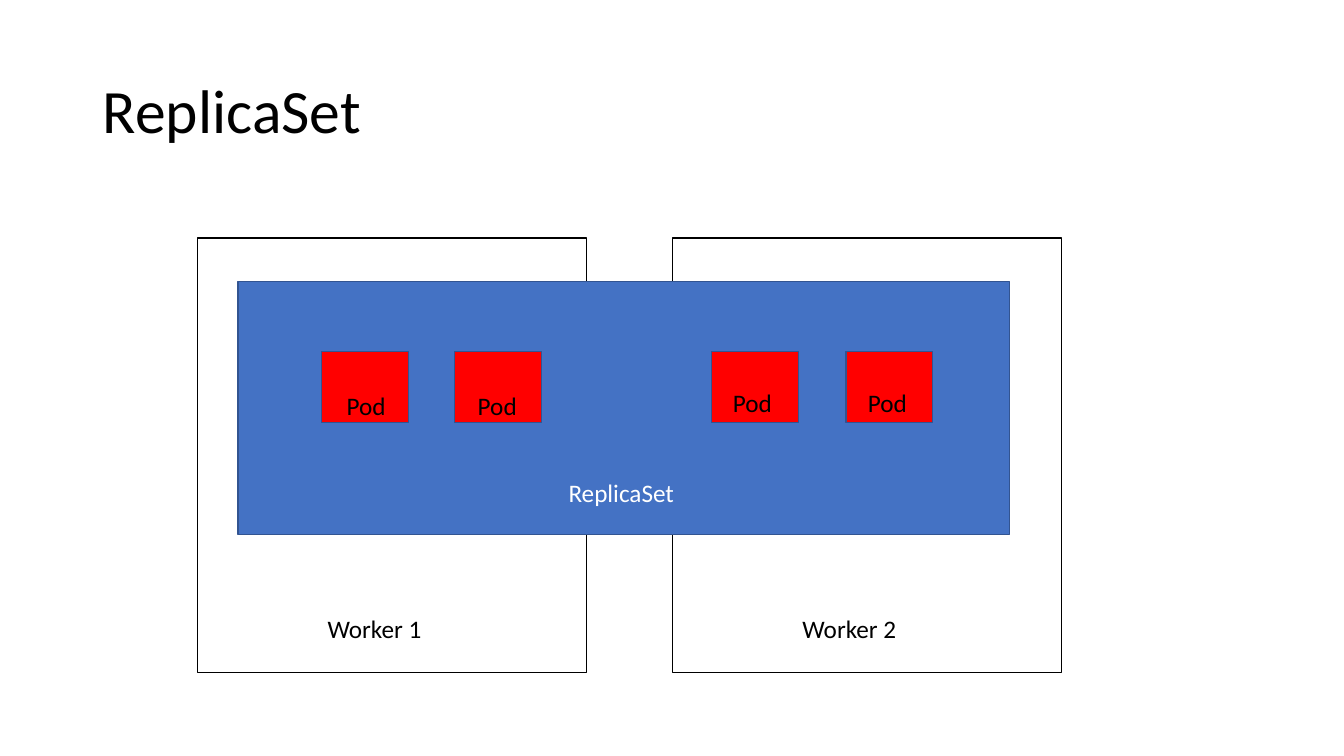
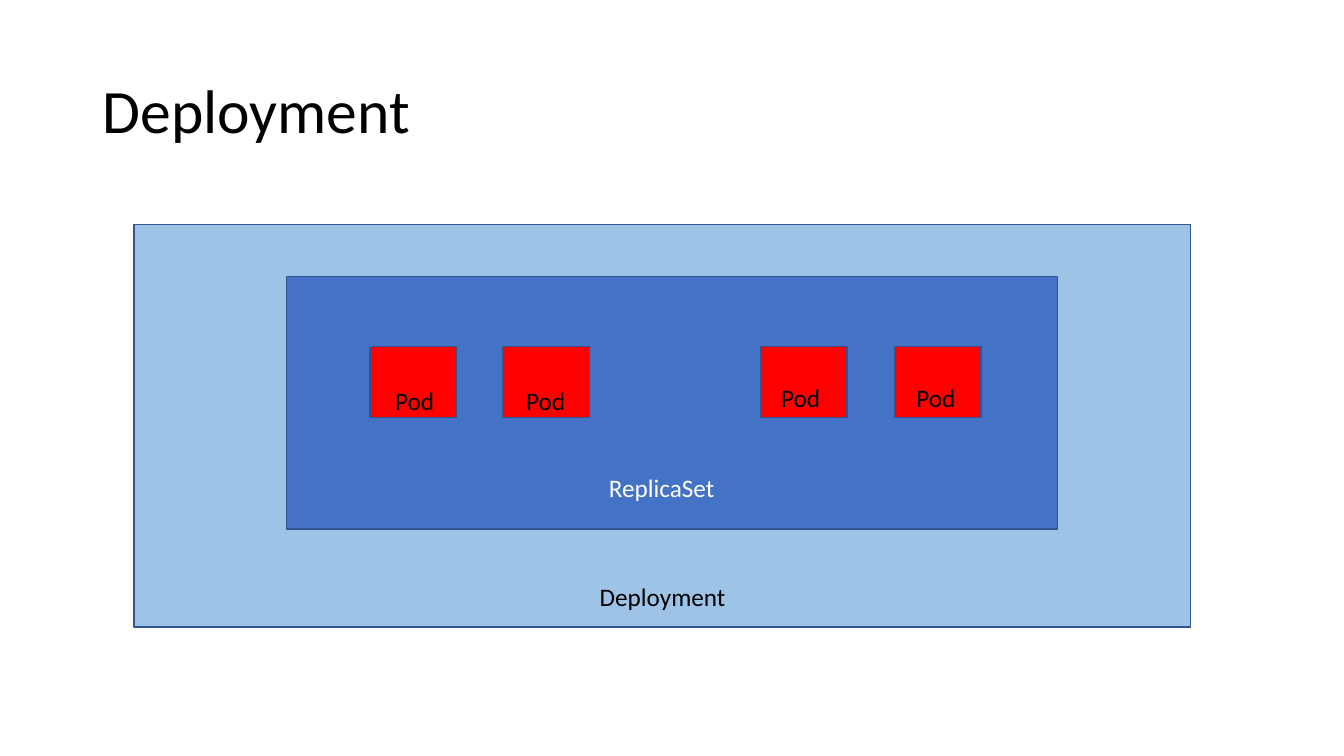
from dataclasses import dataclass

from pptx import Presentation
from pptx.dml.color import RGBColor
from pptx.enum import shapes, text
from pptx.util import Inches, Pt


@dataclass(frozen=True)
class Theme:
    font: str = "Calibri"
    title_size: int = 44
    label_size: int = 18
    outline_width: int = 1
    black: str = "000000"
    white: str = "FFFFFF"
    outline: str = "325491"
    replica_set: str = "4472C4"
    deployment: str = "9DC3E6"
    pod: str = "FF0000"


THEME = Theme()
TITLE_BOX = (0.92, 0.4, 11.5, 1.45)
REPLICA_SET_SIZE = (7.65, 2.51)
POD_SIZE = (0.86, 0.7)
POD_TOP = 0.7
PODS = (
    (0.83, 0.15, 0.33),
    (2.15, 0.13, 0.33),
    (4.7, 0.11, 0.3),
    (6.03, 0.12, 0.3),
)
LABEL_HEIGHT = 0.4


def write(frame, wording, size=THEME.label_size, color=THEME.black,
          anchor=text.MSO_ANCHOR.TOP, spacing=1.0,
          fit=text.MSO_AUTO_SIZE.SHAPE_TO_FIT_TEXT):
    frame.word_wrap = True
    frame.auto_size = fit
    frame.vertical_anchor = anchor
    paragraph = frame.paragraphs[0]
    paragraph.alignment = text.PP_ALIGN.LEFT
    paragraph.line_spacing = spacing
    run = paragraph.add_run()
    run.text = wording
    run.font.name = THEME.font
    run.font.size = Pt(size)
    run.font.color.rgb = RGBColor.from_string(color)


def add_label(slide, wording, left, top, width, **style):
    box = slide.shapes.add_textbox(
        *map(Inches, (left, top, width, LABEL_HEIGHT)))
    write(box.text_frame, wording, **style)


def add_panel(slide, box, fill, outline=THEME.outline):
    panel = slide.shapes.add_shape(
        shapes.MSO_SHAPE.RECTANGLE, *map(Inches, box))
    panel.shadow.inherit = False
    panel.fill.solid()
    panel.fill.fore_color.rgb = RGBColor.from_string(fill)
    panel.line.color.rgb = RGBColor.from_string(outline)
    panel.line.width = Pt(THEME.outline_width)


def add_titled_slide(deck, wording):
    slide = deck.slides.add_slide(deck.slide_layouts[5])
    title = slide.shapes.title
    title.left, title.top, title.width, title.height = map(Inches, TITLE_BOX)
    write(title.text_frame, wording, size=THEME.title_size,
          anchor=text.MSO_ANCHOR.MIDDLE, spacing=0.9,
          fit=text.MSO_AUTO_SIZE.NONE)
    return slide


def add_worker(slide, number, box):
    left, top, _, _ = box
    add_panel(slide, box, THEME.white, outline=THEME.black)
    add_label(slide, f"Worker {number}", left + 1.19, top + 3.68, 1.49)


def add_pod(slide, left, top, label_dx, label_dy):
    add_panel(slide, (left, top, *POD_SIZE), THEME.pod)
    add_label(slide, "Pod", left + label_dx, top + label_dy, 0.63)


def add_replica_set(slide, left, top, label_dx):
    add_panel(slide, (left, top, *REPLICA_SET_SIZE), THEME.replica_set)
    for pod_dx, pod_label_dx, pod_label_dy in PODS:
        add_pod(slide, left + pod_dx, top + POD_TOP,
                pod_label_dx, pod_label_dy)
    add_label(slide, "ReplicaSet", left + label_dx, top + 1.9, 1.49,
              color=THEME.white)


def add_deployment(slide, box):
    left, top, _, _ = box
    add_panel(slide, box, THEME.deployment)
    add_replica_set(slide, left + 1.51, top + 0.51, label_dx=3.1)
    add_label(slide, "Deployment", left + 4.52, top + 3.49, 1.63)


def build_replica_set_slide(deck):
    slide = add_titled_slide(deck, "ReplicaSet")
    for number, left in enumerate((1.96, 6.67), start=1):
        add_worker(slide, number, (left, 2.36, 3.86, 4.31))
    add_replica_set(slide, 2.36, 2.79, label_dx=3.18)


def build_deployment_slide(deck):
    slide = add_titled_slide(deck, "Deployment")
    add_deployment(slide, (1.33, 2.23, 10.48, 3.99))


def main():
    deck = Presentation()
    deck.slide_width, deck.slide_height = Inches(13.33), Inches(7.5)
    build_replica_set_slide(deck)
    build_deployment_slide(deck)
    deck.save("out.pptx")


if __name__ == "__main__":
    main()
